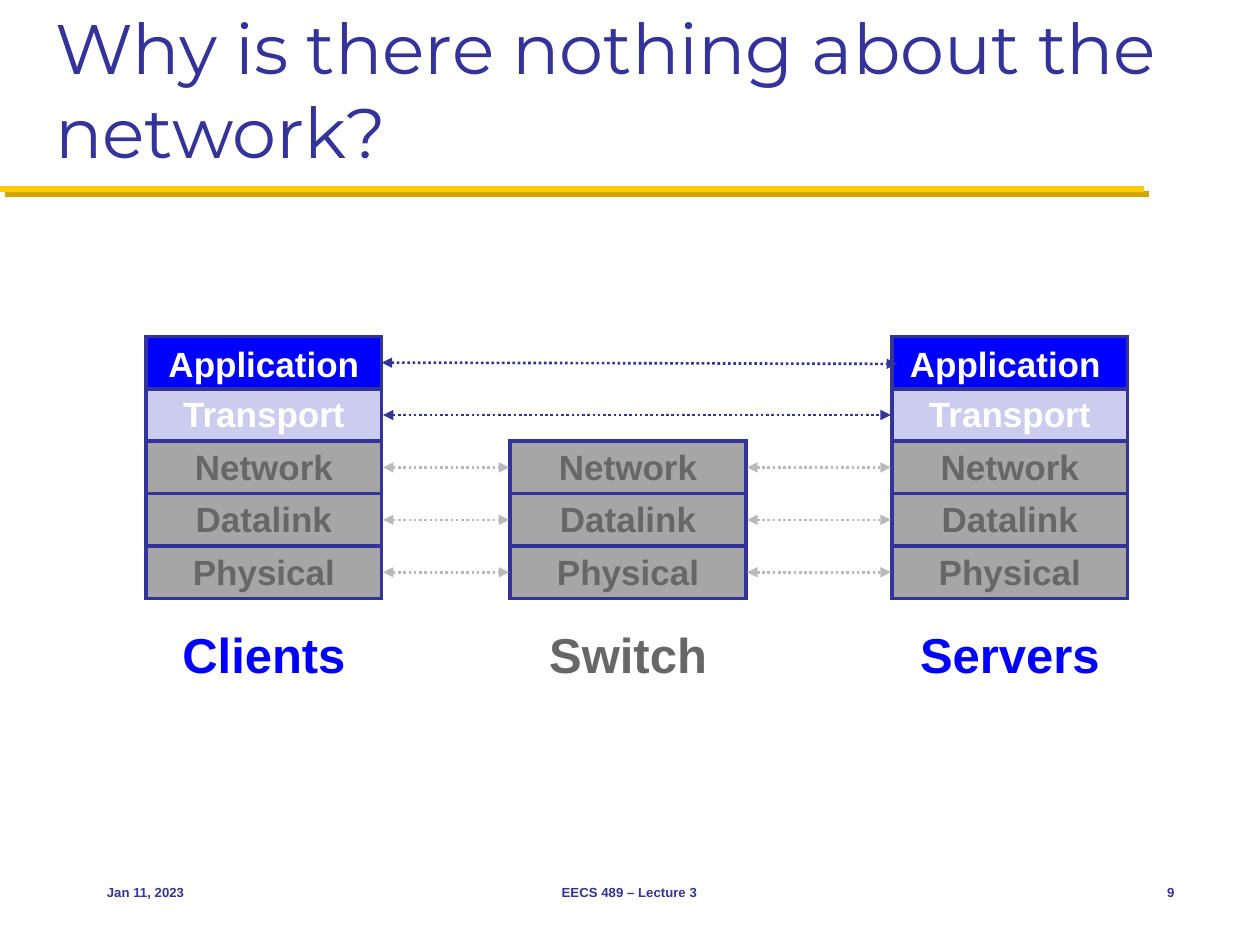
from lxml import etree
from pptx import Presentation
from pptx.dml.color import RGBColor
from pptx.enum.dml import MSO_LINE
from pptx.enum.shapes import MSO_CONNECTOR, MSO_SHAPE
from pptx.enum.text import MSO_ANCHOR, PP_ALIGN
from pptx.oxml.ns import qn
from pptx.util import Inches, Pt

STRAIGHT, RECT, DOTTED = MSO_CONNECTOR.STRAIGHT, MSO_SHAPE.RECTANGLE, MSO_LINE.ROUND_DOT
TOP, MIDDLE, BOTTOM = MSO_ANCHOR.TOP, MSO_ANCHOR.MIDDLE, MSO_ANCHOR.BOTTOM
LEFT, CENTER, RIGHT = PP_ALIGN.LEFT, PP_ALIGN.CENTER, PP_ALIGN.RIGHT

COLORS = {
    "navy": "333399", "blue": "0000FF", "lavender": "CCCCEE", "gray": "A6A6A6",
    "dim": "676767", "faint": "B9B9B9", "white": "FFFFFF",
    "gold": "FFCB05", "dark_gold": "D3A600",
}
LAYERS = [
    ("Application", "blue", "white", 0.03),
    ("Transport", "lavender", "white", 0.08),
    ("Network", "gray", "dim", 0.07),
    ("Datalink", "gray", "dim", 0.07),
    ("Physical", "gray", "dim", 0.07),
]
HOST_LAYERS = 2
STACK_TOP, STACK_W, ROW_H = 2.67, 1.87, 2.08 / len(LAYERS)
CLIENT_X, SWITCH_X, SERVER_X = 1.16, 4.05, 7.08


def rgb(name):
    """Return the named colour."""
    return RGBColor.from_string(COLORS[name])


def write(sp, text, size=20, color="navy", bold=False, font="Arial",
          align=CENTER, anchor=MIDDLE, wrap=False, right=0.1, bottom=0.05):
    """Put formatted text into a shape."""
    tf = sp.text_frame
    tf.word_wrap = wrap
    tf.vertical_anchor = anchor
    tf.margin_right, tf.margin_bottom = Inches(right), Inches(bottom)
    p = tf.paragraphs[0]
    p.alignment = align
    r = p.add_run()
    r.text = text
    r.font.size, r.font.bold, r.font.name = Pt(size), bold, font
    r.font.color.rgb = rgb(color)


def add_text(s, box, text, **fmt):
    """Add a text box at (left, top, width, height) in inches."""
    sp = s.shapes.add_textbox(*map(Inches, box))
    write(sp, text, **fmt)


def add_line(s, x1, x2, y1, y2, color, width):
    """Add a straight line with no shadow."""
    ln = s.shapes.add_connector(STRAIGHT, Inches(x1), Inches(y1), Inches(x2), Inches(y2))
    ln.line.color.rgb = rgb(color)
    ln.line.width = Pt(width)
    etree.SubElement(ln._element.spPr, qn("a:effectLst"))
    return ln


def add_arrow(s, x1, x2, y1, y2, color):
    """Add a dotted arrow with a head at each end."""
    ln = add_line(s, x1, x2, y1, y2, color, 1.5)
    ln.line.dash_style = DOTTED
    for end in ("a:headEnd", "a:tailEnd"):
        etree.SubElement(ln.line._get_or_add_ln(), qn(end), type="triangle")


def add_header(s, left, top, width, height):
    """Add the title and the shadowed rule under it."""
    add_text(s, (left, top, width, height), "Why is there nothing about the network?",
             size=40, font="Montserrat", align=LEFT, anchor=BOTTOM, wrap=True)
    y = top + height + 0.08
    rule = add_line(s, 0, 9.08, y, y, "gold", 3.5)
    effects = rule._element.spPr.find(qn("a:effectLst"))
    shadow = etree.SubElement(effects, qn("a:outerShdw"), dist=str(Pt(4.2)),
                              dir="2700000", algn="ctr", rotWithShape="0")
    etree.SubElement(shadow, qn("a:srgbClr"), val=COLORS["dark_gold"])


def row_top(row):
    """Return the top of a layer row."""
    return STACK_TOP + row * ROW_H


def add_stack(s, left, label, color, first=0, top_right=0.1):
    """Add a column of layers, from the first one down, with its label."""
    for row, (name, fill, ink, bottom) in enumerate(LAYERS[first:], first):
        sp = s.shapes.add_shape(RECT, Inches(left), Inches(row_top(row)),
                                Inches(STACK_W), Inches(ROW_H))
        sp.shadow.inherit = False
        sp.fill.solid()
        sp.fill.fore_color.rgb = rgb(fill)
        sp.line.color.rgb = rgb("navy")
        sp.line.width = Pt(2)
        etree.SubElement(sp.line._get_or_add_ln(), qn("a:miter"), lim="800000")
        write(sp, name, color=ink, bold=True, bottom=bottom,
              right=0.1 if row else top_right)
    add_text(s, (left, 4.91, STACK_W, 0.57), label, size=28, color=color,
             bold=True, anchor=TOP)


def add_links(s):
    """Join the matching layers of neighbouring stacks."""
    y = row_top(0) + ROW_H / 2
    add_arrow(s, CLIENT_X + STACK_W, SERVER_X + 0.04, y, y + 0.01, "navy")
    for row in range(1, len(LAYERS)):
        y = row_top(row) + ROW_H / 2
        if row < HOST_LAYERS:
            stops, color = (CLIENT_X, SERVER_X), "navy"
        else:
            stops, color = (CLIENT_X, SWITCH_X, SERVER_X), "faint"
        for a, b in zip(stops, stops[1:]):
            add_arrow(s, a + STACK_W + 0.01, b - 0.01, y, y, color)


def add_footer(s, top, height):
    """Add the date, course and slide number."""
    for left, width, text, align in [
        (0.75, 2.08, "Jan 11, 2023", LEFT),
        (3.41, 3.17, "EECS 489 – Lecture 3", CENTER),
        (8.75, 0.67, "9", RIGHT),
    ]:
        add_text(s, (left, top, width, height), text, size=7.5, bold=True,
                 align=align, wrap=True)


def main():
    """Build and save the slide."""
    prs = Presentation()
    prs.slide_width, prs.slide_height = Inches(10), Inches(7.5)
    s = prs.slides.add_slide(prs.slide_layouts[6])
    add_header(s, 0.34, 0.17, 9.33, 1.25)
    add_stack(s, CLIENT_X, "Clients", "blue")
    add_stack(s, SWITCH_X, "Switch", "dim", first=HOST_LAYERS)
    add_stack(s, SERVER_X, "Servers", "blue", top_right=0.17)
    add_links(s)
    add_footer(s, 6.83, 0.5)
    prs.save("out.pptx")


main()
